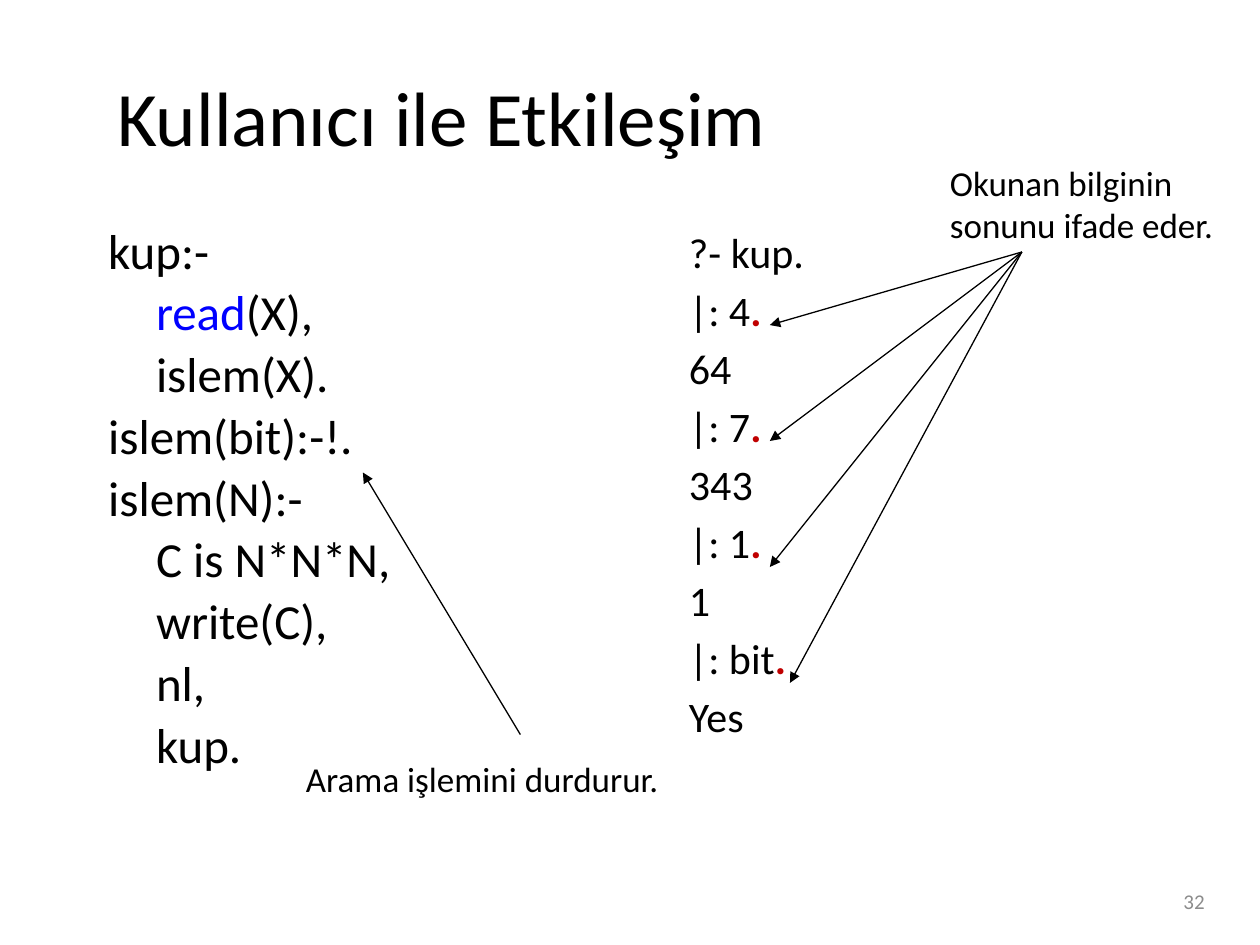
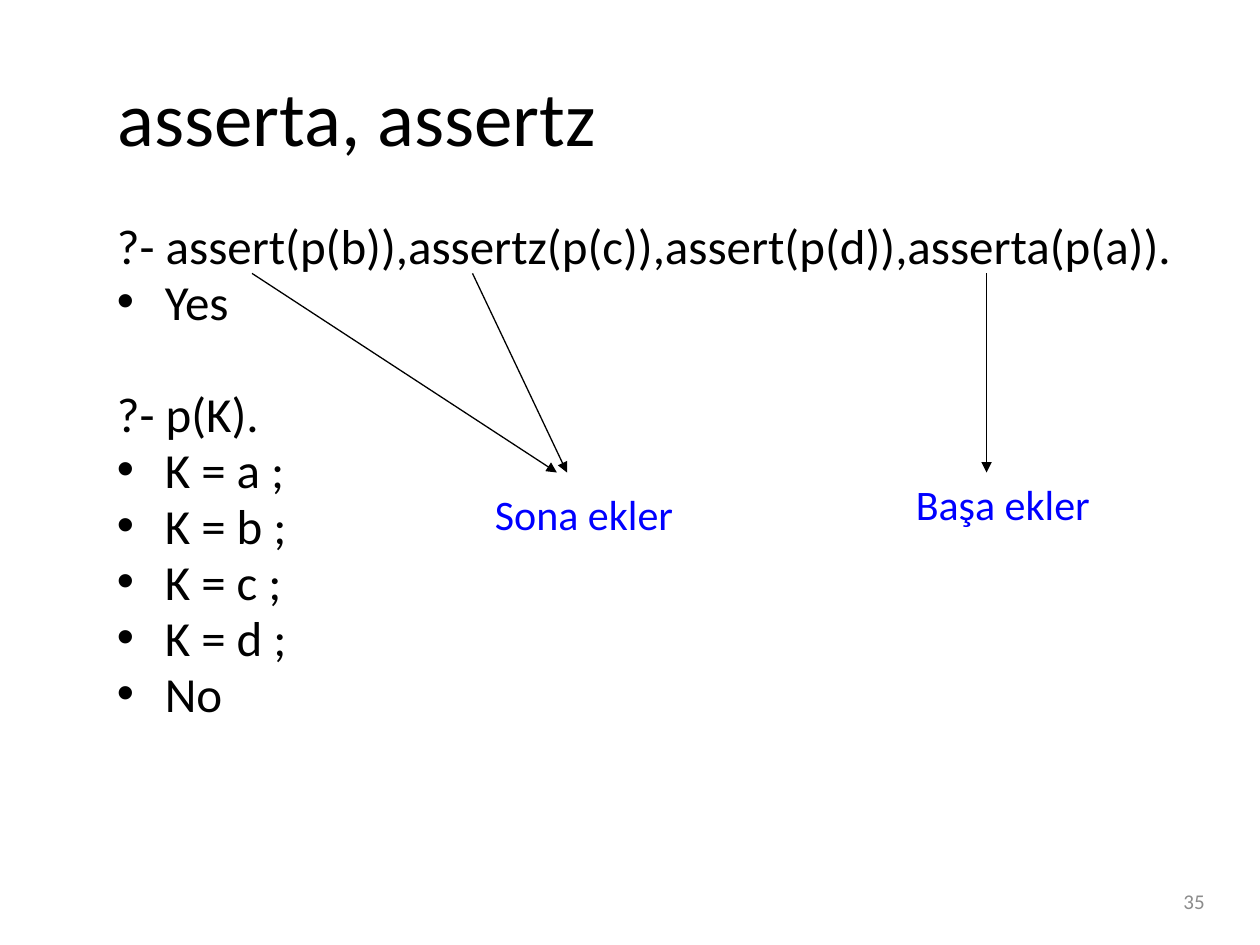
from dataclasses import dataclass

import lxml.etree
import pptx
import pptx.dml.color
import pptx.enum.shapes
import pptx.enum.text
import pptx.oxml.ns
import pptx.util

EMU_PER_PX = 9144  # 100 px to the inch
FONT = "Calibri"
BLACK, BLUE, RED, GRAY = "000000", "0000FF", "C00000", "8C8C8C"
INDENT = 38
GAP_RATIO = 0.18  # paragraph gap as a share of the font size
ALIGN = pptx.enum.text.PP_ALIGN
ANCHOR = pptx.enum.text.MSO_ANCHOR


@dataclass(frozen=True)
class Span:
    text: str
    color: str | None = None
    bold: bool | None = None


@dataclass(frozen=True)
class Line:
    spans: tuple[Span, ...]
    indented: bool = False
    bullet: bool = False
    extra_gap: float = 0


@dataclass(frozen=True)
class Block:
    box: tuple[int, int, int, int]
    lines: list[Line]
    size: int
    color: str = BLACK
    spacing: float = 1.0
    gap_ratio: float = 0
    wrap: bool = True
    align: ALIGN = ALIGN.LEFT
    anchor: ANCHOR = ANCHOR.TOP


@dataclass(frozen=True)
class Arrow:
    start: tuple[int, int]
    end: tuple[int, int]


@dataclass(frozen=True)
class Page:
    title: str
    number: int
    blocks: list[Block]
    arrows: list[Arrow]


def px(n: float) -> int:
    return pptx.util.Emu(round(n * EMU_PER_PX))


def rgb(color: str) -> pptx.dml.color.RGBColor:
    return pptx.dml.color.RGBColor.from_string(color)


def plain(text: str, **options) -> Line:
    return Line((Span(text),), **options)


def answer(text: str) -> Line:
    """User input whose closing full stop is highlighted."""
    return Line((Span("|: " + text), Span(".", RED, True)))


def note(box: tuple[int, int, int, int], *texts: str, size: int = 20, color: str = BLACK) -> Block:
    return Block(box, [plain(t) for t in texts], size, color, wrap=False)


def add_child(parent, tag: str, **attrs: str):
    return lxml.etree.SubElement(parent, pptx.oxml.ns.qn(tag), **attrs)


def set_font(font, size: int, color: str) -> None:
    font.name = FONT
    font.size = pptx.util.Pt(size)
    font.color.rgb = rgb(color)


def place(sp, box: tuple[int, int, int, int]) -> None:
    sp.left, sp.top, sp.width, sp.height = map(px, box)


def fill_line(p, line: Line, block: Block) -> None:
    p.alignment = block.align
    p.line_spacing = block.spacing
    p.space_before = pptx.util.Pt(block.size * block.gap_ratio + line.extra_gap)
    if line.indented or line.bullet:
        pPr = p._p.get_or_add_pPr()
        pPr.set("marL", str(px(INDENT)))
        pPr.set("indent", str(px(-INDENT if line.bullet else 0)))
        if line.bullet:
            add_child(pPr, "a:buFont", typeface="Arial")
            add_child(pPr, "a:buChar", char="•")
    set_font(p.font, block.size, block.color)
    for span in line.spans:
        r = p.add_run()
        r.text = span.text
        if span.color:
            r.font.color.rgb = rgb(span.color)
        if span.bold:
            r.font.bold = True


def add_block(slide, block: Block) -> None:
    tf = slide.shapes.add_textbox(*map(px, block.box)).text_frame
    tf.word_wrap = block.wrap
    tf.vertical_anchor = block.anchor
    for i, line in enumerate(block.lines):
        fill_line(tf.add_paragraph() if i else tf.paragraphs[0], line, block)


def add_arrow(slide, arrow: Arrow) -> None:
    straight = pptx.enum.shapes.MSO_CONNECTOR.STRAIGHT
    sp = slide.shapes.add_connector(straight, *map(px, arrow.start + arrow.end))
    sp.line.color.rgb = rgb(BLACK)
    sp.line.width = pptx.util.Pt(0.75)
    add_child(sp.line._get_or_add_ln(), "a:tailEnd", type="triangle")
    add_child(sp._element.spPr, "a:effectLst")


def add_title(slide, text: str) -> None:
    sp = slide.shapes.title
    place(sp, (83, 29, 883, 125))
    tf = sp.text_frame
    tf.text = text
    tf.vertical_anchor = ANCHOR.MIDDLE
    p = tf.paragraphs[0]
    p.alignment = ALIGN.LEFT
    set_font(p.font, 44, BLACK)


def add_page(prs, page: Page) -> None:
    slide = prs.slides.add_slide(prs.slide_layouts.get_by_name("Title Only"))
    add_title(slide, page.title)
    for block in page.blocks:
        add_block(slide, block)
    for arrow in page.arrows:
        add_arrow(slide, arrow)
    add_block(slide, Block((733, 695, 233, 40), [plain(str(page.number))], 12, GRAY,
                           align=ALIGN.RIGHT, anchor=ANCHOR.MIDDLE))


PROGRAM = [
    plain("kup:-"),
    Line((Span("read", BLUE), Span("(X),")), indented=True),
    plain("islem(X).", indented=True),
    plain("islem(bit):-!."),
    plain("islem(N):-"),
    *(plain(t, indented=True) for t in ("C is N*N*N,", "write(C),", "nl,", "kup.")),
]
SESSION = [
    plain("?- kup."),
    answer("4"), plain("64"),
    answer("7"), plain("343"),
    answer("1"), plain("1"),
    answer("bit"), plain("Yes"),
]
QUERIES = [
    plain("?- assert(p(b)),assertz(p(c)),assert(p(d)),asserta(p(a))."),
    plain("Yes", bullet=True),
    plain("?- p(K).", extra_gap=32.5),
    *(plain(f"K = {name} ;", bullet=True) for name in "abcd"),
    plain("No", bullet=True),
]
FULL_STOPS = [(611, 258), (611, 350), (611, 450), (627, 542)]

PAGES = [
    Page(
        "Kullanıcı ile Etkileşim", 32,
        [
            Block((76, 175, 408, 495), PROGRAM, 28, spacing=0.9, gap_ratio=GAP_RATIO),
            Block((537, 175, 183, 495), SESSION, 24, gap_ratio=GAP_RATIO),
            note((744, 123, 231, 77), "Okunan bilginin", "sonunu ifade eder."),
            note((233, 596, 303, 44), "Arama işlemini durdurur."),
        ],
        [*(Arrow((811, 200), stop) for stop in FULL_STOPS), Arrow((413, 583), (288, 375))],
    ),
    Page(
        "asserta, assertz", 35,
        [
            Block((83, 175, 883, 470), QUERIES, 28, spacing=0.8, gap_ratio=GAP_RATIO),
            note((383, 383, 163, 50), "Sona ekler", size=24, color=BLUE),
            note((717, 375, 160, 50), "Başa ekler", size=24, color=BLUE),
        ],
        [Arrow((x, 217), (end, 375)) for x, end in ((375, 450), (200, 442), (783, 783))],
    ),
]


def main() -> None:
    prs = pptx.Presentation()
    prs.slide_width, prs.slide_height = px(1000), px(750)
    for page in PAGES:
        add_page(prs, page)
    prs.save("out.pptx")


if __name__ == "__main__":
    main()
